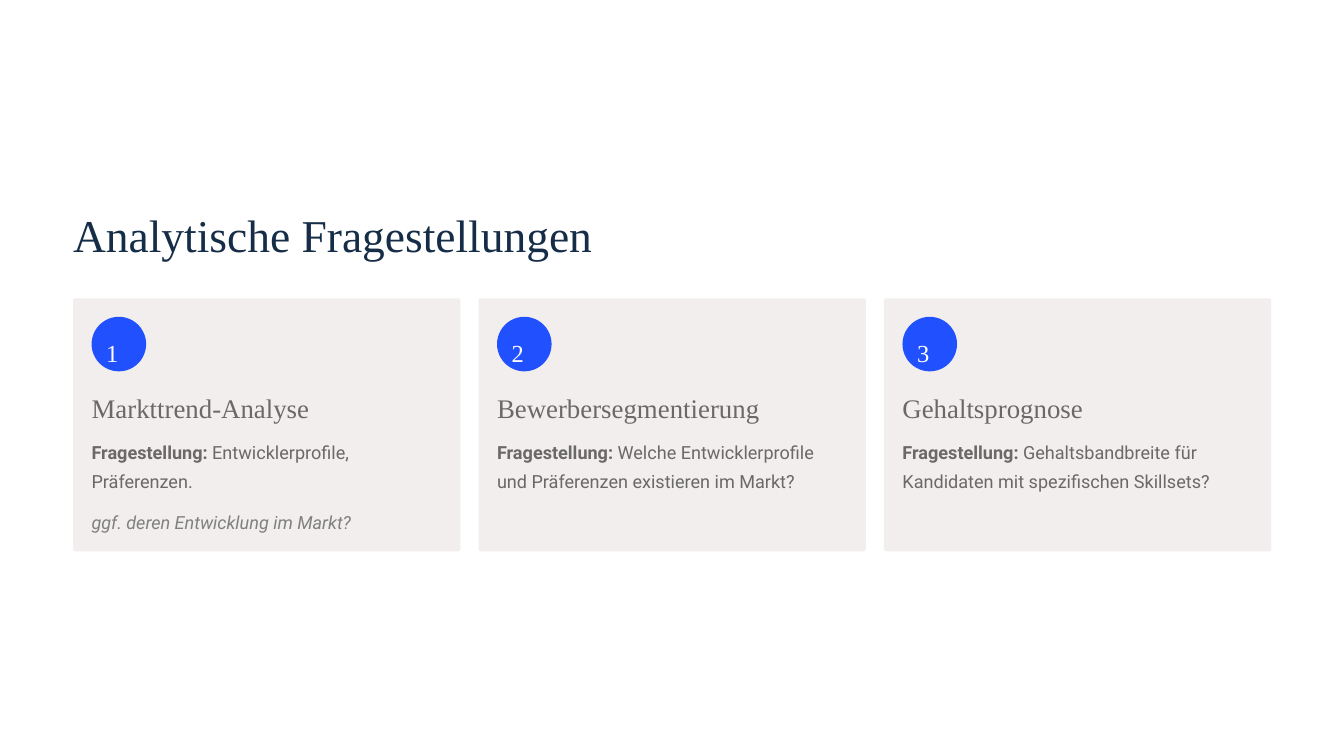
from pptx import Presentation
from pptx import util as u
from pptx.dml.color import RGBColor
from pptx.enum import shapes, text

CARDS = [
    ("Markttrend-Analyse", " Entwicklerprofile, Präferenzen.", "ggf. deren Entwicklung im Markt?"),
    ("Bewerbersegmentierung", " Welche Entwicklerprofile und Präferenzen existieren im Markt?", None),
    ("Gehaltsprognose", " Gehaltsbandbreite für Kandidaten mit spezifischen Skillsets?", None),
]
MARGIN, PITCH, PADDING = 2.21, 12.26, 0.56


def color(value):
    return RGBColor.from_string(value)


class SlideBuilder:
    """Holds the style and the current slide and adds each kind of element."""

    serif, sans = "Times New Roman", "Roboto"
    navy, blue, card, gray, note, white = "152D47", "2150FE", "F2EEEE", "6A6868", "808080", "FFFFFF"

    def __init__(self, presentation):
        self.slide = presentation.slides.add_slide(presentation.slide_layouts[5])
        self.slide.background.fill.solid()
        self.slide.background.fill.fore_color.rgb = color(self.white)

    def set_text(self, shape, parts, font, size, fill, spacing, italic=False):
        frame = shape.text_frame
        frame.margin_left = frame.margin_right = frame.margin_top = frame.margin_bottom = 0
        frame.word_wrap = True
        frame.auto_size = text.MSO_AUTO_SIZE.NONE
        frame.vertical_anchor = text.MSO_ANCHOR.TOP
        paragraph = frame.paragraphs[0]
        paragraph.alignment = text.PP_ALIGN.LEFT
        paragraph.line_spacing = u.Pt(spacing)
        for content, bold in parts:
            run = paragraph.add_run()
            run.text = content
            run.font.name, run.font.size = font, u.Pt(size)
            run.font.bold, run.font.italic = bold, italic
            run.font.color.rgb = color(fill)

    def title(self, content, left, top, width, height):
        shape = self.slide.shapes.title
        shape.left, shape.top = u.Cm(left), u.Cm(top)
        shape.width, shape.height = u.Cm(width), u.Cm(height)
        self.set_text(shape, [(content, False)], self.serif, 39, self.navy, 48.5)

    def label(self, box, parts, font, size, fill, spacing, italic=False):
        shape = self.slide.shapes.add_textbox(*map(u.Cm, box))
        self.set_text(shape, parts, font, size, fill, spacing, italic)

    def panel(self, box, fill, rounding):
        shape = self.slide.shapes.add_shape(shapes.MSO_SHAPE.ROUNDED_RECTANGLE, *map(u.Cm, box))
        shape.adjustments[0] = rounding
        shape.shadow.inherit = False
        shape.fill.solid()
        shape.fill.fore_color.rgb = color(fill)
        shape.line.fill.background()

    def question_card(self, number, left, heading, question, remark):
        inner = left + PADDING
        self.panel((left, 9.02, 11.71, 7.65), self.card, 0.01)
        self.panel((inner, 9.58, 1.65, 1.65), self.blue, 0.5)
        self.label((left + 1, 9.93, 0.74, 0.94), [(str(number), False)], self.serif, 21, self.white, 33.5)
        self.label((inner, 11.79, 8.5, 1.04), [(heading, False)], self.serif, 23, self.gray, 29)
        self.label((inner, 13.13, 10.62, 1.75), [("Fragestellung:", True), (question, False)],
                   self.sans, 15.5, self.gray, 25)
        if remark:
            self.label((inner, 15.24, 10.62, 0.89), [(remark, False)], self.sans, 15.5, self.note, 25, True)


def main():
    presentation = Presentation()
    presentation.slide_width, presentation.slide_height = u.Cm(40.64), u.Cm(22.86)
    builder = SlideBuilder(presentation)
    builder.title("Analytische Fragestellungen", MARGIN, 6.2, 16.41, 1.73)
    for index, (heading, question, remark) in enumerate(CARDS):
        builder.question_card(index + 1, MARGIN + index * PITCH, heading, question, remark)
    presentation.save("out.pptx")


if __name__ == "__main__":
    main()
